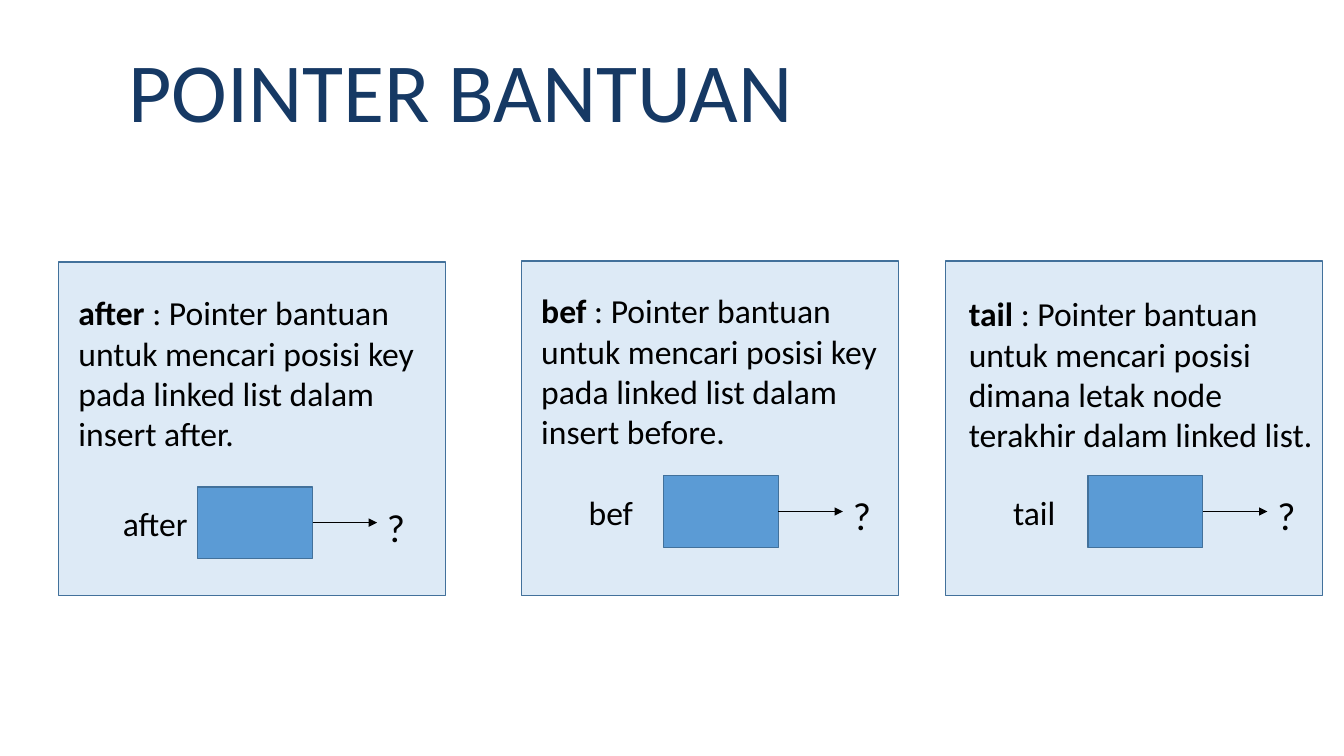
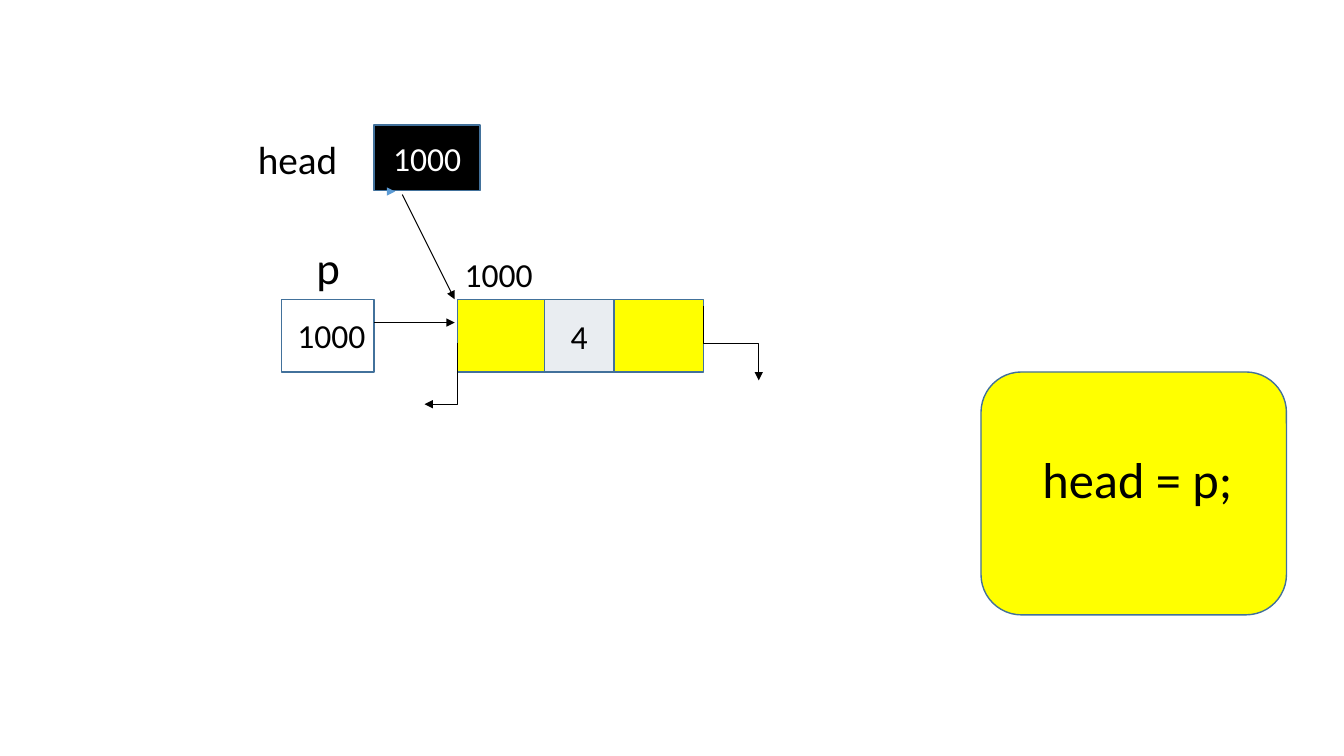
"""Build two slides on helper pointers in a linked list."""
import pptx
import pptx.dml.color
import pptx.enum.shapes
import pptx.enum.text
import pptx.oxml
import pptx.oxml.ns
import pptx.util

Inches = pptx.util.Inches
SHAPE = pptx.enum.shapes.MSO_SHAPE
LINK = pptx.enum.shapes.MSO_CONNECTOR
ALIGN = pptx.enum.text.PP_ALIGN
ANCHOR = pptx.enum.text.MSO_ANCHOR


class Theme:
    font = "Calibri"
    title, code, name, mark, body = 60, 36, 32, 28, 24
    edge, thin = 1, 0.75
    navy, steel, blue, pale = "163964", "42719B", "5B9BD5", "DDEAF6"
    yellow, gray, black, white = "FFFF00", "E9EDF1", "000000", "FFFFFF"


TITLE = "POINTER BANTUAN"
PANELS = [
    dict(box=(0.58, 2.6, 3.84, 3.31), text=(0.68, 2.85, 3.84, 2.12),
         node=(1.96, 4.83), wide=0.99, key="after",
         note=" : Pointer bantuan untuk mencari posisi key pada linked list dalam insert after."),
    dict(box=(5.17, 2.59, 3.74, 3.32), text=(5.27, 2.83, 3.84, 1.72),
         node=(6.58, 4.72), wide=0.84, key="bef",
         note=" : Pointer bantuan untuk mencari posisi key pada linked list dalam insert before."),
    dict(box=(9.38, 2.59, 3.74, 3.32), text=(9.51, 2.86, 3.61, 1.72),
         node=(10.79, 4.72), wide=0.84, key="tail",
         note=" : Pointer bantuan untuk mencari posisi dimana letak node terakhir dalam linked list."),
]
NODE_W, NODE_H, ARROW = 1.14, 0.71, 0.64

BOXES = [
    (SHAPE.ROUNDED_RECTANGLE, (9.73, 3.69, 3.03, 2.41), Theme.yellow, ""),
    (SHAPE.RECTANGLE, (4.54, 2.97, 2.44, 0.72), Theme.yellow, ""),
    (SHAPE.RECTANGLE, (5.4, 2.97, 0.69, 0.72), Theme.gray, "4"),
    (SHAPE.RECTANGLE, (2.79, 2.97, 0.92, 0.72), Theme.white, ""),
    (SHAPE.RECTANGLE, (3.71, 1.24, 1.05, 0.65), Theme.black, ""),
]
LABELS = [
    ("head = p;", (10.24, 4.4, 2.31, 0.71), Theme.code, Theme.black),
    ("1000", (4.51, 2.47, 1.01, 0.5), Theme.body, Theme.black),
    ("p", (3.04, 2.33, 0.43, 0.64), Theme.name, Theme.black),
    ("1000", (2.85, 3.08, 1.01, 0.5), Theme.body, Theme.black),
    ("head", (2.46, 1.29, 1.25, 0.57), Theme.mark, Theme.black),
    ("1000", (3.8, 1.32, 1.05, 0.5), Theme.body, Theme.white),
]
ARROWS = [
    ((3.71, 3.2, 4.51, 3.2), Theme.black),
    ((3.87, 1.9, 3.92, 1.9), Theme.blue),
    ((3.99, 1.93, 4.51, 2.97), Theme.black),
]
BENDS = [
    ((6.88, 3.13, 0.74, 0.55), "bentConnector3", 270, True),
    ((4.07, 3.54, 0.61, 0.33), "bentConnector2", 90, False),
]


def color(code):
    """Turn a hex code into a colour."""
    return pptx.dml.color.RGBColor.from_string(code)


def place(item, area):
    """Move and size a placeholder."""
    item.left, item.top, item.width, item.height = map(Inches, area)


def style(run, size, code=Theme.black, bold=False):
    """Format one run."""
    font = run.font
    font.name, font.size, font.bold = Theme.font, pptx.util.Pt(size), bold
    font.color.rgb = color(code)


def box(shapes, kind, area, fill, text=""):
    """Add an outlined shape with optional centred text."""
    item = shapes.add_shape(kind, *map(Inches, area))
    item.shadow.inherit = False
    item.fill.solid()
    item.fill.fore_color.rgb = color(fill)
    item.line.color.rgb = color(Theme.steel)
    item.line.width = pptx.util.Pt(Theme.edge)
    if text:
        frame = item.text_frame
        frame.text = text
        frame.vertical_anchor = ANCHOR.MIDDLE
        frame.paragraphs[0].alignment = ALIGN.CENTER
        style(frame.paragraphs[0].runs[0], Theme.body)


def label(shapes, text, area, size, code=Theme.black, lead=""):
    """Add wrapped text with an optional bold lead."""
    frame = shapes.add_textbox(*map(Inches, area)).text_frame
    frame.word_wrap = True
    para = frame.paragraphs[0]
    for part, bold in ((lead, True), (text, False)):
        if part:
            run = para.add_run()
            run.text = part
            style(run, size, code, bold)


def arrow(shapes, ends, code=Theme.black, kind=LINK.STRAIGHT):
    """Add a connector with a triangle head at its end."""
    link = shapes.add_connector(kind, *map(Inches, ends))
    link.line.color.rgb = color(code)
    link.line.width = pptx.util.Pt(Theme.thin)
    space = pptx.oxml.ns.nsdecls("a")
    line = link.line._get_or_add_ln()
    line.append(pptx.oxml.parse_xml(f'<a:tailEnd {space} type="triangle"/>'))
    link._element.spPr.append(pptx.oxml.parse_xml(f"<a:effectLst {space}/>"))
    return link


def bend(shapes, area, form, turn, flip):
    """Add a turned elbow arrow."""
    x, y, w, h = area
    link = arrow(shapes, (x, y, x + w, y + h), kind=LINK.ELBOW)
    props = link._element.spPr
    props.find(pptx.oxml.ns.qn("a:prstGeom")).set("prst", form)
    frame = props.find(pptx.oxml.ns.qn("a:xfrm"))
    frame.set("rot", str(turn * 60000))
    if flip:
        frame.set("flipH", "1")


def panel(shapes, data):
    """Add a pointer panel with its grouped node."""
    box(shapes, SHAPE.RECTANGLE, data["box"], Theme.pale)
    label(shapes, data["note"], data["text"], Theme.body, lead=data["key"])
    group = shapes.add_group_shape().shapes
    x, y = data["node"]
    start, mid = x + NODE_W, y + NODE_H / 2
    end = start + ARROW
    box(group, SHAPE.RECTANGLE, (x, y, NODE_W, NODE_H), Theme.blue)
    label(group, data["key"], (x - 0.84, y + 0.11, data["wide"], 0.5), Theme.body)
    arrow(group, (start, mid, end, mid))
    label(group, "?", (end, y + 0.11, 0.33, 0.57), Theme.mark)


def helpers(deck):
    """Build the slide of helper pointers."""
    slide = deck.slides.add_slide(deck.slide_layouts[5])
    title = slide.shapes.title
    place(title, (1.17, 0.13, 11.13, 1.63))
    frame = title.text_frame
    frame.text = TITLE
    frame.vertical_anchor = ANCHOR.MIDDLE
    para = frame.paragraphs[0]
    para.alignment, para.line_spacing = ALIGN.LEFT, 0.9
    style(para.runs[0], Theme.title, Theme.navy)
    for data in PANELS:
        panel(slide.shapes, data)


def assign(deck):
    """Build the slide that points head at the node."""
    shapes = deck.slides.add_slide(deck.slide_layouts[6]).shapes
    for item in BOXES:
        box(shapes, *item)
    for item in LABELS:
        label(shapes, *item)
    for item in ARROWS:
        arrow(shapes, *item)
    for item in BENDS:
        bend(shapes, *item)


def main():
    """Build and save the deck."""
    deck = pptx.Presentation()
    deck.slide_width, deck.slide_height = Inches(13.33), Inches(7.5)
    helpers(deck)
    assign(deck)
    deck.save("out.pptx")


if __name__ == "__main__":
    main()
